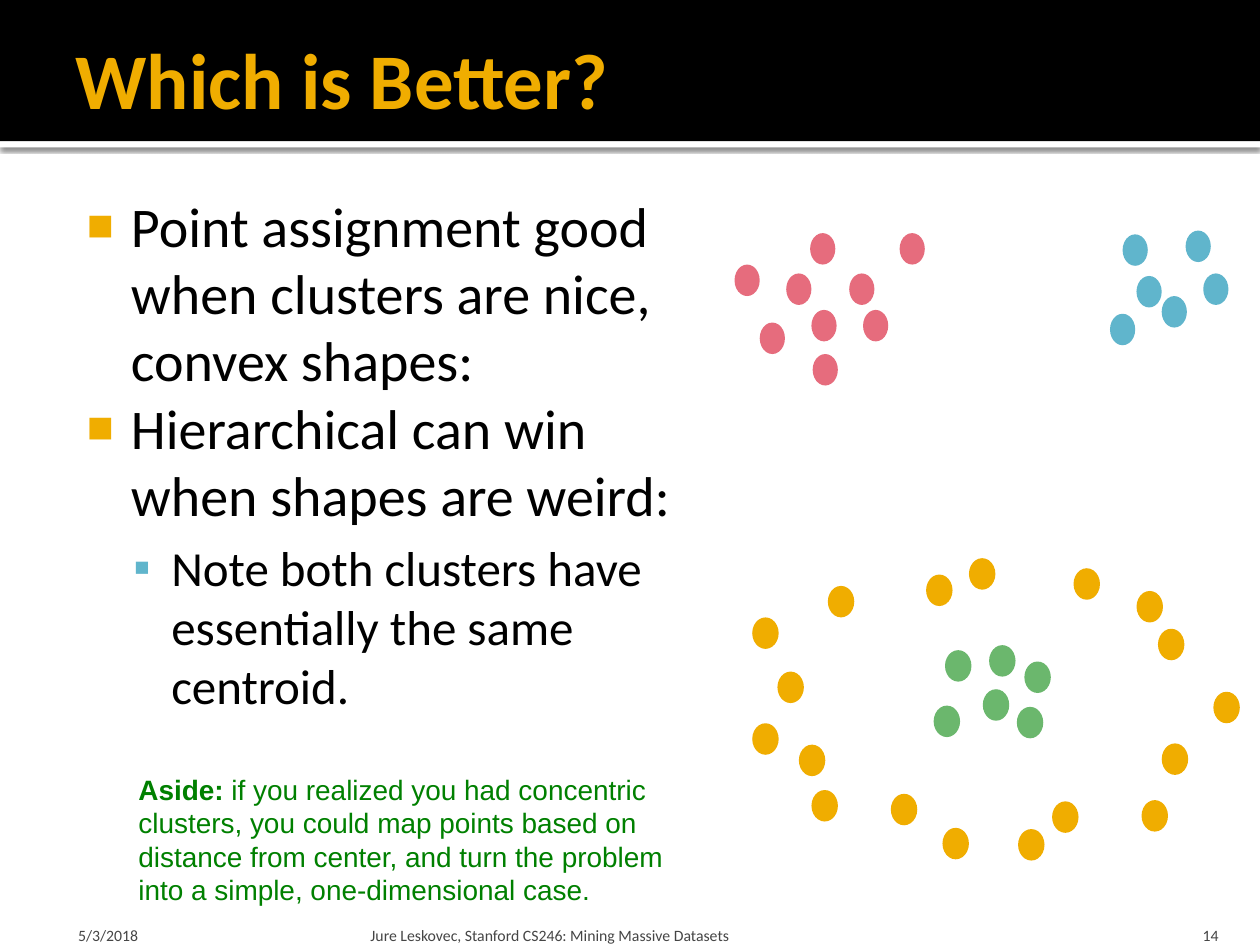
from lxml import etree
from pptx import Presentation
from pptx.dml.color import RGBColor
from pptx.enum.shapes import MSO_SHAPE
from pptx.enum.text import MSO_ANCHOR, PP_ALIGN
from pptx.oxml.ns import qn
from pptx.util import Inches, Pt

RECT, OVAL = MSO_SHAPE.RECTANGLE, MSO_SHAPE.OVAL
TOP, MIDDLE, BOTTOM = MSO_ANCHOR.TOP, MSO_ANCHOR.MIDDLE, MSO_ANCHOR.BOTTOM
LEFT, RIGHT = PP_ALIGN.LEFT, PP_ALIGN.RIGHT
TITLE_ONLY = 5

BLACK, WHITE, GREY = "000000", "FFFFFF", "454545"
GOLD, BLUE, PINK, GREEN = "F0AD00", "60B5CC", "E66C7D", "6BB76D"
ASIDE_GREEN = "008000"

PINK_POINTS = [(5.83, 2.1), (6.43, 1.85), (6.24, 2.17), (6.74, 2.17), (6.03, 2.56),
               (6.44, 2.46), (6.85, 2.46), (6.45, 2.81), (7.14, 1.85)]
BLUE_POINTS = [(9.02, 2.19), (9.22, 2.35), (9.55, 2.17), (8.91, 1.86), (8.81, 2.49),
               (9.41, 1.83)]
RING_POINTS = [(5.97, 4.9), (6.57, 4.65), (8.52, 4.51), (7.48, 6.57), (6.17, 5.33),
               (9.06, 6.35), (9.22, 5.9), (6.44, 6.27), (7.69, 4.43), (8.35, 6.36),
               (9.63, 5.49), (7.07, 6.3), (9.19, 4.99), (8.08, 6.58), (9.02, 4.69),
               (6.34, 5.91), (5.97, 5.74), (7.35, 4.56)]
CORE_POINTS = [(7.85, 5.12), (7.8, 5.47), (8.13, 5.25), (7.5, 5.16), (7.41, 5.6),
               (8.07, 5.61)]


def color(value):
    return RGBColor.from_string(value)


class ClusterSlide:
    font = "Calibri"

    def __init__(self, deck):
        self.slide = deck.slides.add_slide(deck.slide_layouts[TITLE_ONLY])
        self.shapes = self.slide.shapes

    def place(self, shape, box):
        shape.left, shape.top, shape.width, shape.height = map(Inches, box)

    def frame(self, shape, insets, anchor=TOP, wrap=True):
        text = shape.text_frame
        text.word_wrap = wrap
        text.vertical_anchor = anchor
        (text.margin_left, text.margin_top,
         text.margin_right, text.margin_bottom) = map(Inches, insets)
        return text

    def run(self, paragraph, words, size, fill, bold=False, font=None):
        run = paragraph.add_run()
        run.text = words
        run.font.name = font or self.font
        run.font.size = Pt(size)
        run.font.bold = bold
        run.font.color.rgb = color(fill)

    def solid(self, parent, kind, box, fill):
        shape = parent.add_shape(kind, *map(Inches, box))
        shape.shadow.inherit = False
        shape.fill.solid()
        shape.fill.fore_color.rgb = color(fill)
        shape.line.fill.background()
        return shape

    def band(self, box, fill):
        return self.solid(self.shapes, RECT, box, fill)

    def cast_shadow(self, shape, blur, distance, opacity):
        effects = shape.element.spPr.find(qn("a:effectLst"))
        shadow = etree.SubElement(effects, qn("a:outerShdw"), blurRad=str(Pt(blur)),
                                  dist=str(Pt(distance)), dir="5400000",
                                  algn="tl", rotWithShape="0")
        tint = etree.SubElement(shadow, qn("a:srgbClr"), val=BLACK)
        etree.SubElement(tint, qn("a:alpha"), val=str(opacity * 1000))

    def title(self, words, box):
        heading = self.shapes.title
        self.shapes.element.append(heading.element)
        self.place(heading, box)
        text = self.frame(heading, (0.1, 0.05, 0.05, 0.05), MIDDLE)
        paragraph = text.paragraphs[0]
        paragraph.alignment = LEFT
        self.run(paragraph, words, 45, GOLD, True)

    def textbox(self, box, insets, anchor=TOP, wrap=True):
        return self.frame(self.shapes.add_textbox(*map(Inches, box)), insets, anchor, wrap)

    def bullets(self, box, items):
        text = self.textbox(box, (0.06, 0.1, 0.1, 0.05))
        for i, (words, level) in enumerate(items):
            paragraph = text.add_paragraph() if i else text.paragraphs[0]
            size, margin, indent, mark, tint, scale, before = (
                (28, 0.8, -0.3, "▪", BLUE, 100, 5.6) if level
                else (32, 0.48, -0.35, "■", GOLD, 80, 0))
            paragraph.level = level
            paragraph.space_before = Pt(before)
            self.run(paragraph, words, size, BLACK)
            props = paragraph._p.get_or_add_pPr()
            props.set("marL", str(Inches(margin)))
            props.set("indent", str(Inches(indent)))
            bullet_color = etree.SubElement(props, qn("a:buClr"))
            etree.SubElement(bullet_color, qn("a:srgbClr"), val=tint)
            etree.SubElement(props, qn("a:buSzPct"), val=str(scale * 1000))
            etree.SubElement(props, qn("a:buFont"), typeface="Arial")
            etree.SubElement(props, qn("a:buChar"), char=mark)

    def points(self, clusters, width):
        group = self.shapes.add_group_shape()
        for fill, centers in clusters:
            for x, y in centers:
                self.solid(group.shapes, OVAL, (x, y, width, 0.25), fill)

    def aside(self, box, lines):
        text = self.textbox(box, (0.1, 0.05, 0.1, 0.05), wrap=False)
        for i, runs in enumerate(lines):
            paragraph = text.add_paragraph() if i else text.paragraphs[0]
            for words, bold in runs:
                self.run(paragraph, words, 16, ASIDE_GREEN, bold, "Arial")

    def footer(self, words, box, left=0.05, right=0.05, align=LEFT):
        text = self.textbox(box, (left, 0.05, right, 0), BOTTOM)
        text.paragraphs[0].alignment = align
        self.run(text.paragraphs[0], words, 9, GREY)


def main():
    deck = Presentation()
    deck.slide_width, deck.slide_height = Inches(10), Inches(7.5)
    page = ClusterSlide(deck)

    strip = page.band((0, 1.12, 10, 0.05), WHITE)
    page.cast_shadow(strip, 2.5, 0.8, 60)
    page.band((0, 0, 10, 1.12), BLACK)
    page.title("Which is Better?", (0.5, 0.08, 9, 1.08))

    page.bullets((0.5, 1.42, 5.14, 5.75), [
        ("Point assignment good when clusters are nice, convex shapes:", 0),
        ("Hierarchical can win when shapes are weird:", 0),
        ("Note both clusters have essentially the same centroid.", 1),
    ])

    page.points([(PINK, PINK_POINTS), (BLUE, BLUE_POINTS)], 0.2)
    page.points([(GOLD, RING_POINTS), (GREEN, CORE_POINTS)], 0.21)

    page.aside((1, 6.08, 4.42, 1.21), [
        [("Aside:", True), (" if you realized you had concentric", False)],
        [("clusters, you could map points based on", False)],
        [("distance from center, and turn the problem", False)],
        [("into a simple, one-dimensional case.", False)],
    ])

    page.footer("5/3/2018", (0.5, 7.2, 2.33, 0.3), left=0.12)
    page.footer("Jure Leskovec, Stanford CS246: Mining Massive Datasets",
                (2.89, 7.2, 6.02, 0.3))
    page.footer("14", (8.97, 7.2, 0.8, 0.3), 0.1, 0.1, RIGHT)

    deck.save("out.pptx")


if __name__ == "__main__":
    main()
